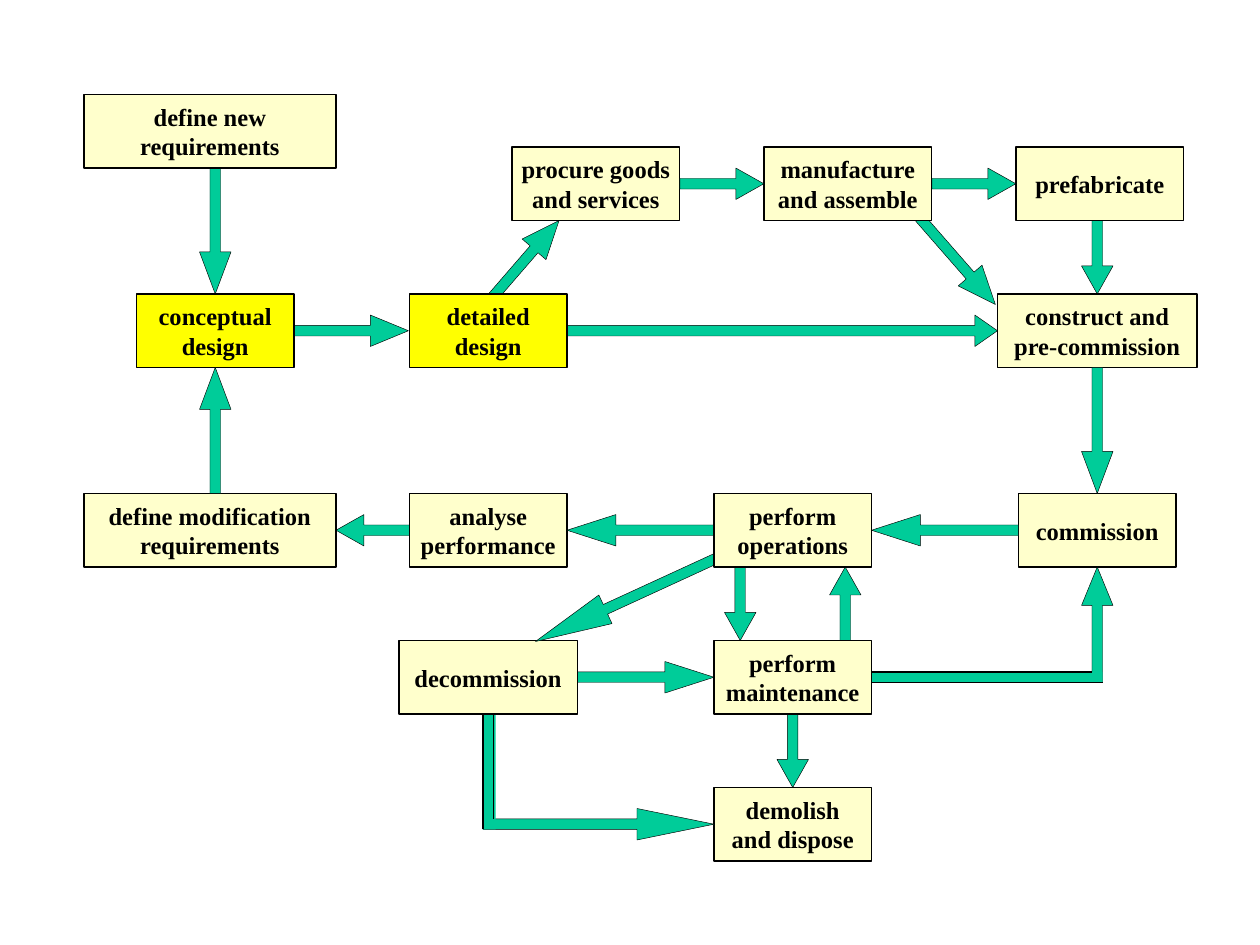
from math import hypot

from lxml.etree import SubElement
from pptx import Presentation
from pptx.dml.color import RGBColor
from pptx.enum.shapes import MSO_CONNECTOR, MSO_SHAPE
from pptx.enum.text import MSO_ANCHOR, PP_ALIGN
from pptx.oxml.ns import qn
from pptx.util import Inches, Pt

BLACK = RGBColor(0x00, 0x00, 0x00)
CREAM = RGBColor(0xFF, 0xFF, 0xCC)
YELLOW = RGBColor(0xFF, 0xFF, 0x00)
GREEN = RGBColor(0x00, 0xCC, 0x99)

COLUMNS, ROWS = 120, 90
STEP_HEIGHT = 7
STEP_WIDTH = 15

FLOWS_BEHIND = [
    ((54, 64.5), (68, 64.5)),
    ((40, 50.5), (32, 50.5)),
    ((75.5, 67), (75.5, 75)),
    ((70.5, 53), (70.5, 61)),
    ((80.5, 62), (80.5, 54)),
    ((104.5, 20), (104.5, 28)),
    ((87.6, 20.75), (94.8, 29)),
    ((46.1, 29.25), (53.25, 21)),
    ((20.5, 16), (20.5, 28)),
    ((28, 31.5), (38.9, 31.5)),
    ((88.75, 17.5), (96.75, 17.5)),
]
STEPS = [
    (8, 9, 24, ["define new", "requirements"]),
    (48.75, 14, 16, ["procure goods", "and services"]),
    (72.75, 14, 16, ["manufacture", "and assemble"]),
    (96.75, 14, 16, ["prefabricate"]),
    (95, 28, 19, ["construct and", "pre-commission"]),
    (97, 47, STEP_WIDTH, ["commission"]),
    (68, 75, STEP_WIDTH, ["demolish", "and dispose"]),
    (39, 47, STEP_WIDTH, ["analyse", "performance"]),
    (8, 47, 24, ["define modification", "requirements"]),
]
DESIGN_STEPS = [
    (13, 28, STEP_WIDTH, ["conceptual", "design"]),
    (39, 28, STEP_WIDTH, ["detailed", "design"]),
]
FLOWS_ABOVE = [
    ((20.5, 47), (20.5, 35)),
    ((64.75, 17.5), (72.75, 17.5)),
    ((104.5, 35), (104.5, 47)),
    ((97, 50.5), (83, 50.5)),
    ((68, 50.5), (54, 50.5)),
    ((46, 78.5), (68, 78.5)),
    ((104.5, 65), (104.5, 54)),
]


class FlowChart:
    font_name = "Times New Roman"
    font_size = Pt(14)
    outline = Pt(0.75)
    arrow_outline = Pt(0.25)
    shaft_half = 0.5
    head_half = 1.5

    def __init__(self, deck):
        self.page = deck.slides.add_slide(deck.slide_layouts[6])
        self.column = deck.slide_width / COLUMNS
        self.row = deck.slide_height / ROWS

    def place(self, x, y):
        return round(x * self.column), round(y * self.row)

    def paint(self, shape, color, line_width=None):
        shape.shadow.inherit = False
        shape.fill.solid()
        shape.fill.fore_color.rgb = color
        if line_width is None:
            shape.line.fill.background()
        else:
            shape.line.color.rgb = BLACK
            shape.line.width = line_width

    def bar(self, x, y, width, height, color=GREEN, line_width=None):
        box = self.page.shapes.add_shape(
            MSO_SHAPE.RECTANGLE, *self.place(x, y), *self.place(width, height))
        self.paint(box, color, line_width)
        return box

    def step(self, x, y, width, lines, color=CREAM):
        box = self.bar(x, y, width, STEP_HEIGHT, color, self.outline)
        frame = box.text_frame
        frame.word_wrap = False
        frame.vertical_anchor = MSO_ANCHOR.MIDDLE
        for index, line in enumerate(lines):
            para = frame.add_paragraph() if index else frame.paragraphs[0]
            para.alignment = PP_ALIGN.CENTER
            span = para.add_run()
            span.text = line
            span.font.name = self.font_name
            span.font.size = self.font_size
            span.font.bold = True
            span.font.color.rgb = BLACK

    def arrow(self, tail, tip, head_share=1 / 3):
        run, rise = tip[0] - tail[0], tip[1] - tail[1]
        length = hypot(run, rise)
        along = (run / length, rise / length)
        neck = length * (1 - head_share)

        def point(distance, offset):
            return self.place(tail[0] + along[0] * distance - along[1] * offset,
                              tail[1] + along[1] * distance + along[0] * offset)

        upper = [(neck, self.head_half), (neck, self.shaft_half), (0, self.shaft_half)]
        lower = [(distance, -offset) for distance, offset in reversed(upper)]
        builder = self.page.shapes.build_freeform(*point(length, 0))
        builder.add_line_segments([point(*corner) for corner in upper + lower])
        self.paint(builder.convert_to_shape(), GREEN, self.arrow_outline)

    def edge(self, start, end):
        line = self.page.shapes.add_connector(
            MSO_CONNECTOR.STRAIGHT, *self.place(*start), *self.place(*end))
        line.line.color.rgb = BLACK
        line.line.width = self.outline
        SubElement(line._element.spPr, qn("a:effectLst"))


def main():
    deck = Presentation()
    deck.slide_width, deck.slide_height = Inches(10), Inches(7.5)
    chart = FlowChart(deck)

    for flow in FLOWS_BEHIND:
        chart.arrow(*flow)
    chart.arrow((52, 31.5), (95, 31.5), head_share=0.05)
    for step in STEPS:
        chart.step(*step)
    for step in DESIGN_STEPS:
        chart.step(*step, color=YELLOW)
    for flow in FLOWS_ABOVE:
        chart.arrow(*flow)

    chart.bar(83, 64, 22, 1)
    chart.step(68, 61, STEP_WIDTH, ["perform", "maintenance"])
    chart.edge((83, 65), (105, 65))
    chart.edge((83, 64), (104, 64))

    chart.bar(46, 68, 1.2, 11)
    chart.step(38, 61, 17, ["decommission"])
    chart.edge((46, 79), (46, 68))
    chart.edge((47, 78), (47, 68))

    chart.arrow((71, 51.9), (51, 61.1))
    chart.step(68, 47, STEP_WIDTH, ["perform", "operations"])
    deck.save("out.pptx")


if __name__ == "__main__":
    main()
